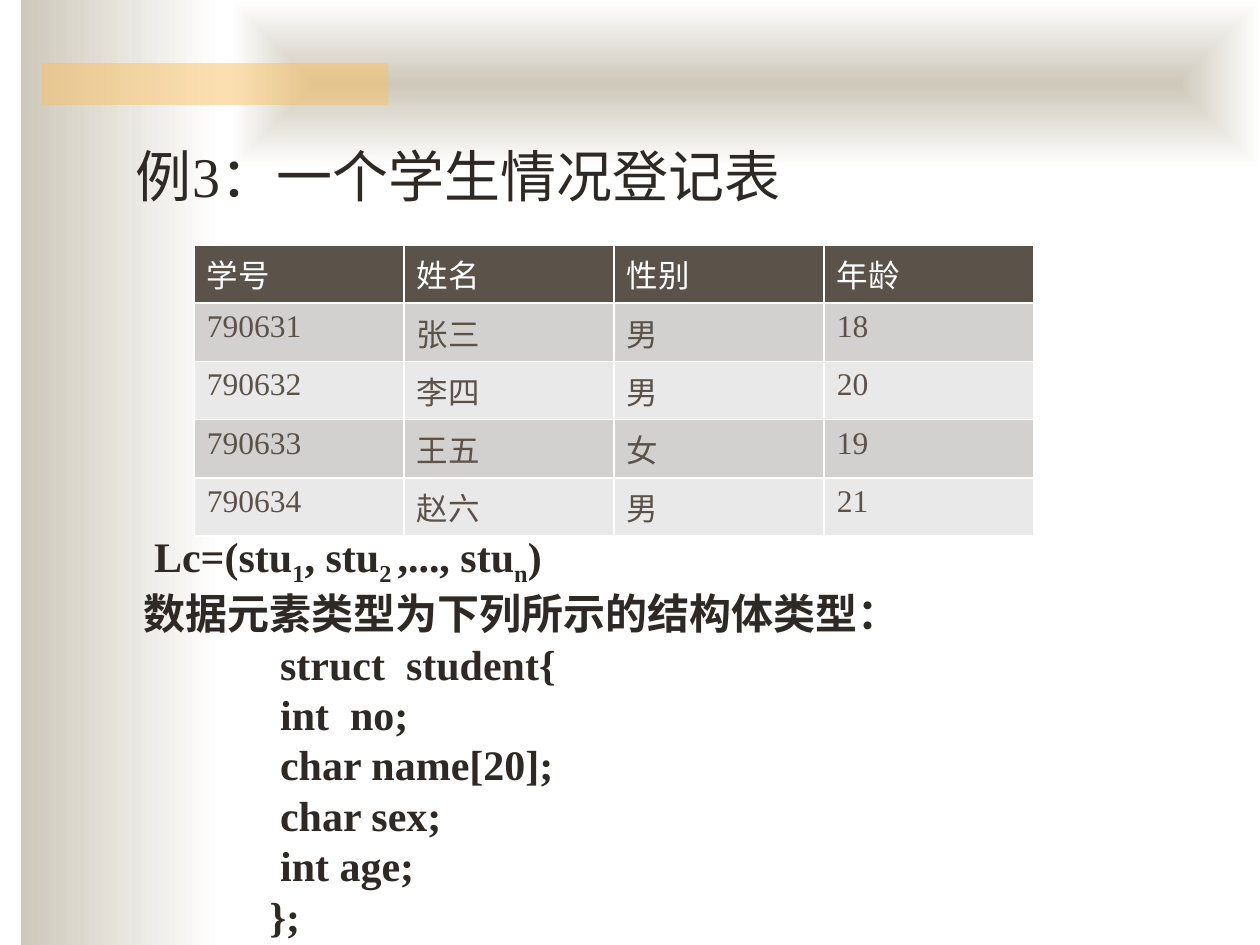
from lxml import etree
from pptx import Presentation
from pptx.dml.color import RGBColor
from pptx.enum.shapes import MSO_SHAPE
from pptx.enum.text import MSO_ANCHOR, MSO_AUTO_SIZE
from pptx.oxml.ns import qn
from pptx.util import Pt

RECT = MSO_SHAPE.RECTANGLE
TOP = MSO_ANCHOR.TOP
GROW, FIXED = MSO_AUTO_SIZE.SHAPE_TO_FIT_TEXT, MSO_AUTO_SIZE.NONE
FACE = "Times New Roman"
INK, BROWN, WHITE, SAND = "2E2925", "5B5249", "FFFFFF", "CEC8BA"
BANDS = ["EAE9E9", "D2D1D0"]
ROWS = [
    ["学号", "姓名", "性别", "年龄"],
    ["790631", "张三", "男", "18"],
    ["790632", "李四", "男", "20"],
    ["790633", "王五", "女", "19"],
    ["790634", "赵六", "男", "21"],
]
LIST = [("Lc=(stu", "1"), (", stu", "2 "), (",..., stu", "n"), (")", "")]
LINES = [
    (0, "数据元素类型为下列所示的结构体类型："),
    (78, "struct  student{"),
    (78, "int  no;"),
    (78, "char name[20];"),
    (78, "char sex;"),
    (78, "int age;"),
    (72, "};"),
]


def paint(color, code):
    """Set a colour from a hex string."""
    color.rgb = RGBColor.from_string(code)


def style(para, size, code, bold=False):
    """Set the font of a whole paragraph."""
    font = para.font
    font.name, font.size, font.bold = FACE, Pt(size), bold
    paint(font.color, code)


def indent(para, left):
    """Indent a paragraph by a number of points."""
    props = para._p.get_or_add_pPr()
    props.set("marL", str(Pt(left)))
    props.set("indent", "0")
    return props


def panel(slide, box):
    """Add a rectangle without line or shadow."""
    shape = slide.shapes.add_shape(RECT, *map(Pt, box))
    shape.shadow.inherit = False
    shape.line.fill.background()
    return shape


def fade(slide, box):
    """Add a panel that fades from sand to white, left to right."""
    fill = panel(slide, box).fill
    fill.gradient()
    fill.gradient_angle = 0
    for stop, code in zip(fill.gradient_stops, (SAND, WHITE)):
        paint(stop.color, code)
    return fill


def decor(slide, box):
    """Draw the side band, the top glow and the amber bar."""
    x, y, w, h = box
    fade(slide, (x + 12, y, 114, h))
    glow = fade(slide, (x + 132, y, w - 132, 96))
    grad = glow._xPr.find(qn("a:gradFill"))
    old = grad.find(qn("a:lin"))
    ring = etree.Element(qn("a:path"), {"path": "shape"})
    etree.SubElement(ring, qn("a:fillToRect"), dict.fromkeys("ltrb", "50000"))
    grad.replace(old, ring)
    bar = panel(slide, (x + 24, y + 36, 198, 24))
    bar.fill.solid()
    paint(bar.fill.fore_color, "FAC164")
    tint = bar._element.spPr.find(qn("a:solidFill"))[0]
    etree.SubElement(tint, qn("a:alpha"), {"val": "50000"})


def heading(slide, box, text):
    """Place the example heading in the body placeholder."""
    body = slide.placeholders[1]
    body.left, body.top, body.width, body.height = map(Pt, box)
    frame = body.text_frame
    frame.auto_size, frame.vertical_anchor = FIXED, TOP
    para = frame.paragraphs[0]
    para.text = text
    para.space_before = Pt(6.4)
    style(para, 32, INK)
    etree.SubElement(indent(para, 0), qn("a:buNone"))
    slide.shapes._spTree.append(body._element)


def roster(slide, box):
    """Add the student table."""
    table = slide.shapes.add_table(len(ROWS), len(ROWS[0]), *map(Pt, box)).table
    for r, row in enumerate(ROWS):
        for c, text in enumerate(row):
            cell = table.cell(r, c)
            cell.text = text
            cell.fill.solid()
            paint(cell.fill.fore_color, BANDS[r % 2] if r else BROWN)
            style(cell.text_frame.paragraphs[0], 18, BROWN if r else WHITE)


def code(slide, box):
    """Add the list formula and the struct definition."""
    frame = slide.shapes.add_textbox(*map(Pt, box)).text_frame
    frame.word_wrap, frame.auto_size = True, GROW
    para = frame.paragraphs[0]
    indent(para, 6)
    style(para, 24, INK, True)
    for word, sub in LIST:
        para.add_run().text = word
        if sub:
            run = para.add_run()
            run.text = sub
            run.font._element.set("baseline", "-25000")
    for left, text in LINES:
        para = frame.add_paragraph()
        para.text = text
        indent(para, left)
        style(para, 24, INK, True)


def main():
    """Build and save the slide."""
    deck = Presentation()
    deck.slide_width, deck.slide_height = Pt(720), Pt(540)
    slide = deck.slides.add_slide(deck.slide_layouts[1])
    title = slide.shapes.title._element
    title.getparent().remove(title)
    decor(slide, (0, 0, 720, 540))
    heading(slide, (70.5, 77, 625, 384), "例3：一个学生情况登记表")
    roster(slide, (111, 140, 480, 146))
    code(slide, (75, 299.5, 612, 240))
    deck.save("out.pptx")


main()
